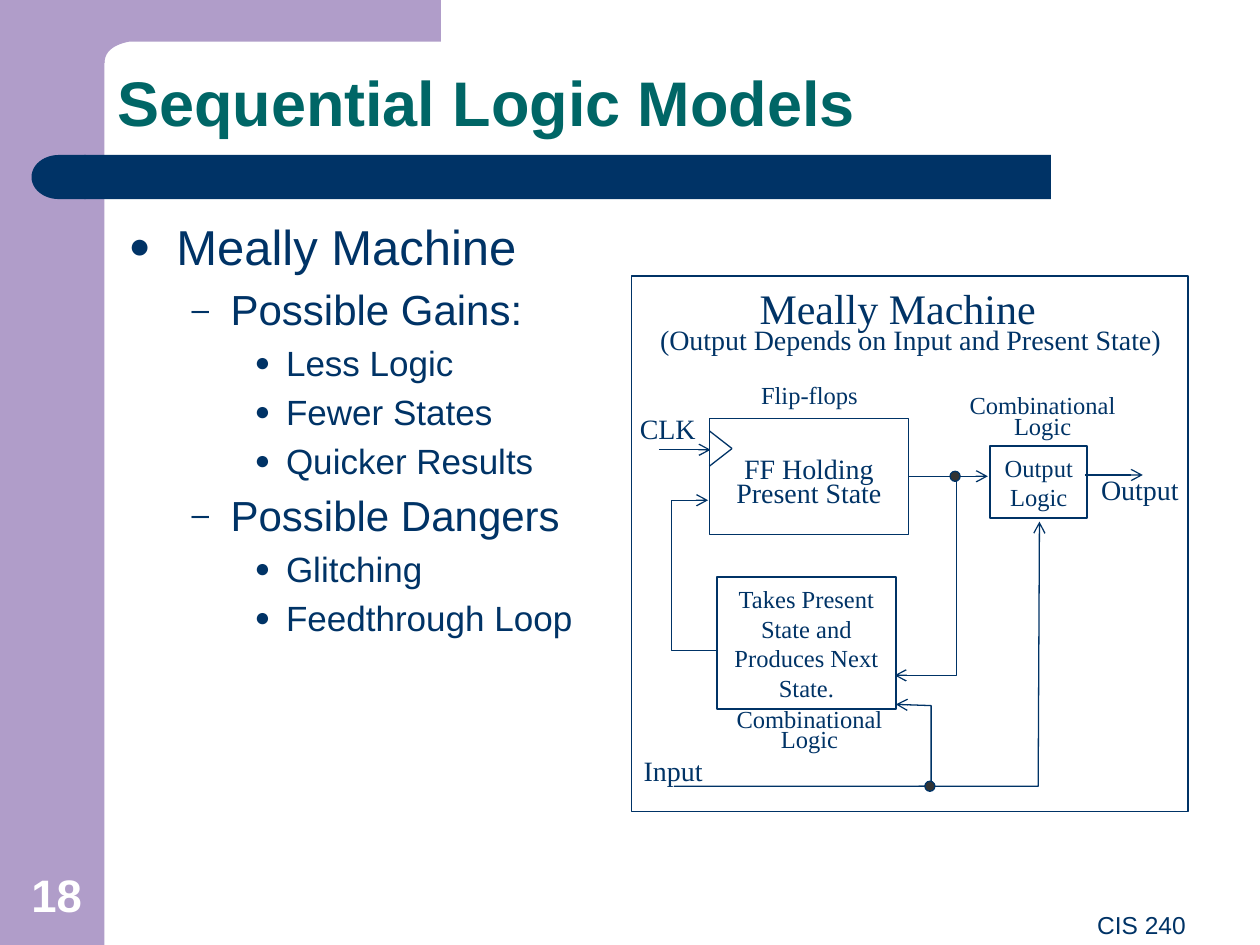
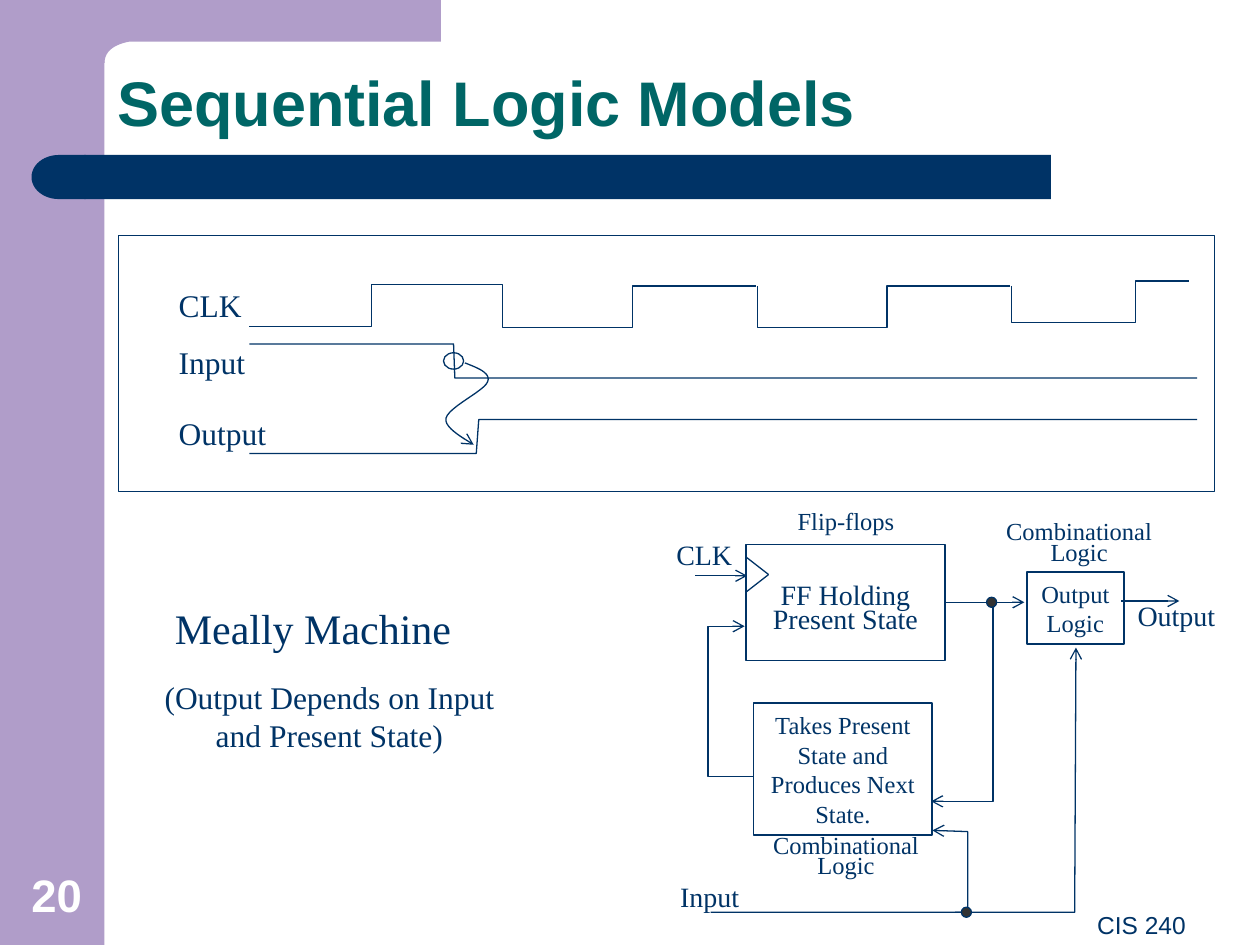
import pptx
import pptx.dml.color
import pptx.enum.shapes
import pptx.enum.text
import pptx.oxml.ns
import pptx.oxml.xmlchemy
import pptx.util
from lxml import etree
from pptx.util import Inches

NAVY, TEAL, LILAC = "003366", "006666", "B09DC9"
WHITE, DOT_GREY = "FFFFFF", "333333"
SANS, SERIF = "Arial", "Times New Roman"
SHAPE = pptx.enum.shapes.MSO_SHAPE
ALIGN = pptx.enum.text.PP_ALIGN
ANCHOR = pptx.enum.text.MSO_ANCHOR
qn = pptx.oxml.ns.qn

OUTLINE = [
    (0, "Meally Machine"),
    (1, "Possible Gains:"),
    (2, "Less Logic"),
    (2, "Fewer States"),
    (2, "Quicker Results"),
    (1, "Possible Dangers"),
    (2, "Glitching"),
    (2, "Feedthrough Loop"),
]
# Per outline level: size, text indent, hanging indent, bullet
LEVELS = [(28, 0.38, 0.38, "●"), (24, 0.81, 0.31, "–"), (20, 1.25, 0.25, "●")]


def rgb(value):
    return pptx.dml.color.RGBColor.from_string(value)


def place(left, top, width, height):
    return Inches(left), Inches(top), Inches(width), Inches(height)


# Text
def write(frame, text, size=14, font=SERIF, color=NAVY, bold=False,
          align=ALIGN.LEFT, anchor=ANCHOR.TOP, spacing=None, top_inset=0.05):
    """Fill a text frame; each line of the text becomes a paragraph."""
    frame.word_wrap = True
    frame.auto_size = pptx.enum.text.MSO_AUTO_SIZE.NONE
    frame.vertical_anchor = anchor
    frame.margin_top = Inches(top_inset)
    for index, line in enumerate(text.split("\n")):
        para = frame.paragraphs[0] if index == 0 else frame.add_paragraph()
        para.alignment = align
        if spacing:
            para.line_spacing = spacing
        format_span(para.add_run(), line, size, font, color, bold)


def format_span(span, text, size, font, color, bold=False):
    span.text = text
    span.font.size = pptx.util.Pt(size)
    span.font.name = font
    span.font.bold = bold
    span.font.color.rgb = rgb(color)


def add_label(page, area, text, **style):
    box = page.shapes.add_textbox(*place(*area))
    write(box.text_frame, text, **style)


def add_caption(page, area, text):
    add_label(page, area, text, align=ALIGN.CENTER, spacing=0.7)


# Shapes and lines
def paint(shape, fill=None, line=None, width=0.75):
    shape.shadow.inherit = False
    if fill:
        shape.fill.solid()
        shape.fill.fore_color.rgb = rgb(fill)
    else:
        shape.fill.background()
    if line:
        shape.line.color.rgb = rgb(line)
        shape.line.width = pptx.util.Pt(width)
    else:
        shape.line.fill.background()


def add_block(page, kind, area, fill=None, line=None, width=0.75):
    shape = page.shapes.add_shape(kind, *place(*area))
    paint(shape, fill, line, width)
    return shape


def add_arrowhead(shape):
    outline = shape.element.spPr.find(qn("a:ln"))
    etree.SubElement(outline, qn("a:tailEnd"), type="arrow")


def add_path(page, points, fill=None, line=NAVY, arrow=False):
    corners = [(Inches(x), Inches(y)) for x, y in points]
    builder = page.shapes.build_freeform(*corners[0])
    builder.add_line_segments(corners[1:], close=fill is not None)
    shape = builder.convert_to_shape()
    paint(shape, fill, line)
    if arrow:
        add_arrowhead(shape)
    return shape


def add_wire(page, start, end, arrow=False):
    ends = [Inches(value) for value in (*start, *end)]
    wire = page.shapes.add_connector(
        pptx.enum.shapes.MSO_CONNECTOR.STRAIGHT, *ends)
    wire.line.color.rgb = rgb(NAVY)
    wire.line.width = pptx.util.Pt(0.75)
    if arrow:
        add_arrowhead(wire)
    etree.SubElement(wire.element.spPr, qn("a:effectLst"))


def curve(a, b, c, d, steps=12):
    """Points along a cubic curve, without its first point."""
    points = []
    for step in range(1, steps + 1):
        t = step / steps
        weights = ((1 - t) ** 3, 3 * t * (1 - t) ** 2, 3 * t * t * (1 - t), t ** 3)
        points.append(tuple(
            sum(weight * point[axis] for weight, point in zip(weights, (a, b, c, d)))
            for axis in (0, 1)))
    return points


# Shared parts
def add_master_bands(deck, page):
    """Draw the bands, then hand them to the slide master."""
    corner = [(3.5, 0), (3.5, 0.33), (1.03, 0.33)]
    corner += curve((1.03, 0.33), (0.92, 0.35), (0.83, 0.4), (0.83, 0.5))
    corner += [(0.5, 0.5), (0.5, 0)]
    bar_cap = add_block(page, SHAPE.FLOWCHART_DELAY, (0.25, 1.23, 0.43, 0.35), NAVY)
    bar_cap.rotation = 180
    bands = [
        add_block(page, SHAPE.RECTANGLE, (0, 0, 0.83, 7.5), LILAC),
        add_path(page, corner, fill=LILAC, line=None),
        add_block(page, SHAPE.RECTANGLE, (0.67, 1.23, 7.67, 0.35), NAVY),
        bar_cap,
    ]
    tree = deck.slide_master.element.cSld.spTree
    for number, band in enumerate(bands, start=20):
        band.element.nvSpPr.cNvPr.set("id", str(number))
        tree.append(band.element)


def add_page(deck, layout, number):
    page = deck.slides.add_slide(deck.slide_layouts[layout])
    title = page.shapes.title
    title.left, title.top, title.width, title.height = place(0.83, 0.33, 8.67, 0.83)
    write(title.text_frame, "Sequential Logic Models", size=36, font=SANS,
          color=TEAL, bold=True, anchor=ANCHOR.BOTTOM, spacing=0.9)
    add_label(page, (0, 6.83, 0.9, 0.53), number, size=26, font=SANS, color=WHITE,
              bold=True, align=ALIGN.CENTER, anchor=ANCHOR.BOTTOM)
    add_label(page, (3.42, 7.17, 6.09, 0.33), "CIS 240", font=SANS,
              align=ALIGN.RIGHT)
    return page


# Bulleted outline
def add_bullet(para, indent, hanging, mark):
    props = para._p.get_or_add_pPr()
    props.set("marL", str(Inches(indent)))
    props.set("indent", str(-Inches(hanging)))
    color = etree.SubElement(props, qn("a:buClr"))
    etree.SubElement(color, qn("a:srgbClr"), val=NAVY)
    etree.SubElement(props, qn("a:buSzPct"), val="75000")
    etree.SubElement(props, qn("a:buFont"), typeface=SANS)
    etree.SubElement(props, qn("a:buChar"), char=mark)


def fill_outline(body):
    body.left, body.top, body.width, body.height = place(0.92, 1.67, 8.41, 4.99)
    frame = body.text_frame
    frame.auto_size = pptx.enum.text.MSO_AUTO_SIZE.NONE
    for index, (level, text) in enumerate(OUTLINE):
        size, indent, hanging, mark = LEVELS[level]
        para = frame.paragraphs[0] if index == 0 else frame.add_paragraph()
        para.level = level
        add_bullet(para, indent, hanging, mark)
        para.space_before = pptx.util.Pt(size * 0.2 if index else 0)
        format_span(para.add_run(), text, size, SANS, NAVY)


# Meally machine circuit, measured from its own origin
def draw_circuit(page, left, top):
    def spot(x, y):
        return left + x, top + y

    def area(x, y, width, height):
        return (*spot(x, y), width, height)

    def wire(*points):
        add_path(page, [spot(*point) for point in points], arrow=True)

    def logic_box(bounds, text, fill=None):
        box = add_block(page, SHAPE.RECTANGLE, area(*bounds), fill, NAVY, 1)
        write(box.text_frame, text, align=ALIGN.CENTER, anchor=ANCHOR.MIDDLE)

    # Output logic
    add_label(page, area(3.64, 0.7, 0.87, 0.37), "Output", size=16)
    add_caption(page, area(2.44, 0.11, 1.67, 0.44), "Combinational\nLogic")
    logic_box((2.86, 0.54, 0.77, 0.57), "Output Logic")
    add_wire(page, spot(3.61, 0.77), spot(4.07, 0.77), arrow=True)

    # State feedback and clock
    wire((2, 0.78), (2.59, 0.78), (2.59, 2.36), (2.1, 2.36))
    wire((0.85, 2.16), (0.33, 2.16), (0.33, 0.97), (0.62, 0.97))
    add_wire(page, spot(2.34, 0.78), spot(2.84, 0.78), arrow=True)
    add_wire(page, spot(0.23, 0.57), spot(0.64, 0.57), arrow=True)
    add_label(page, area(-0.02, 0.22, 0.87, 0.37), "CLK", size=16)

    # Input lines
    add_label(page, area(0.01, 2.93, 0.87, 0.37), "Input", size=16)
    wire((0.35, 3.24), (2.39, 3.24), (2.39, 2.6), (2.11, 2.59))
    wire((2.29, 3.24), (3.24, 3.24), (3.25, 1.14))
    for x, y in ((2.54, 0.74), (2.34, 3.2)):
        add_block(page, SHAPE.OVAL, area(x, y, 0.08, 0.08), DOT_GREY, NAVY)

    # Next-state logic and flip-flops
    logic_box((0.69, 1.58, 1.42, 1.05),
              "Takes Present State and Produces Next State.", WHITE)
    flip_flop = add_block(page, SHAPE.RECTANGLE, area(0.63, 0.32, 1.58, 0.92),
                          WHITE, NAVY)
    write(flip_flop.text_frame, "FF Holding\nPresent State", size=16,
          align=ALIGN.CENTER, spacing=0.7, top_inset=0.34)
    for y in (0.42, 0.7):
        add_wire(page, spot(0.63, y), spot(0.81, 0.56))
    add_caption(page, area(0.59, 2.6, 1.67, 0.44), "Combinational\nLogic")
    add_caption(page, area(0.59, 0.03, 1.67, 0.27), "Flip-flops")


# Timing diagram
def draw_timing(page):
    add_block(page, SHAPE.RECTANGLE, (0.94, 1.87, 8.7, 2.03), line=NAVY)
    signals = [
        # Clock pulses
        [(1.98, 2.59), (2.95, 2.59), (2.95, 2.26), (3.99, 2.26), (3.99, 2.5)],
        [(6, 2.27), (5.02, 2.27), (5.02, 2.6), (3.99, 2.6), (3.99, 2.36)],
        [(8.02, 2.27), (7.04, 2.27), (7.04, 2.6), (6.01, 2.6), (6.01, 2.35)],
        [(8.03, 2.27), (8.03, 2.56), (9.01, 2.56), (9.01, 2.23), (9.44, 2.23)],
        # Input, then output
        [(1.98, 2.73), (3.6, 2.73), (3.61, 3), (9.5, 3)],
        [(1.98, 3.6), (3.78, 3.6), (3.8, 3.33), (9.5, 3.33)],
    ]
    for points in signals:
        add_path(page, points)
    add_wire(page, (6.01, 2.27), (6.01, 2.58))

    # Input edge that drives the output
    add_block(page, SHAPE.OVAL, (3.52, 2.8, 0.16, 0.13), line=NAVY)
    cause = [(3.69, 2.88)]
    cause += curve(cause[-1], (3.79, 2.92), (3.9, 2.96), (3.87, 3.03))
    cause += curve(cause[-1], (3.85, 3.1), (3.56, 3.23), (3.54, 3.32))
    cause += curve(cause[-1], (3.52, 3.4), (3.72, 3.5), (3.76, 3.53))
    add_path(page, cause, arrow=True)
    for name, top in (("CLK", 2.22), ("Input", 2.67), ("Output", 3.24)):
        add_label(page, (1.32, top, 1.42, 0.4), name, size=18)


def main():
    deck = pptx.Presentation()
    deck.slide_width, deck.slide_height = Inches(10), Inches(7.5)
    name, rule = "Meally Machine", "(Output Depends on Input and Present State)"

    # Gains and dangers
    page = add_page(deck, 1, "18")
    add_master_bands(deck, page)
    fill_outline(page.placeholders[1])
    add_block(page, SHAPE.RECTANGLE, (5.01, 2.19, 4.42, 4.25), WHITE, NAVY)
    add_label(page, (5.93, 2.19, 2.67, 0.5), name, size=24)
    add_label(page, (5.14, 2.51, 4.24, 0.37), rule, size=16)
    draw_circuit(page, 5, 3)

    # Timing
    page = add_page(deck, 5, "20")
    draw_timing(page)
    add_label(page, (1.29, 4.73, 2.67, 0.5), name, size=24)
    add_label(page, (1.08, 5.33, 3.07, 0.71), rule, size=18, align=ALIGN.CENTER)
    draw_circuit(page, 5.29, 4)

    deck.save("out.pptx")


if __name__ == "__main__":
    main()
